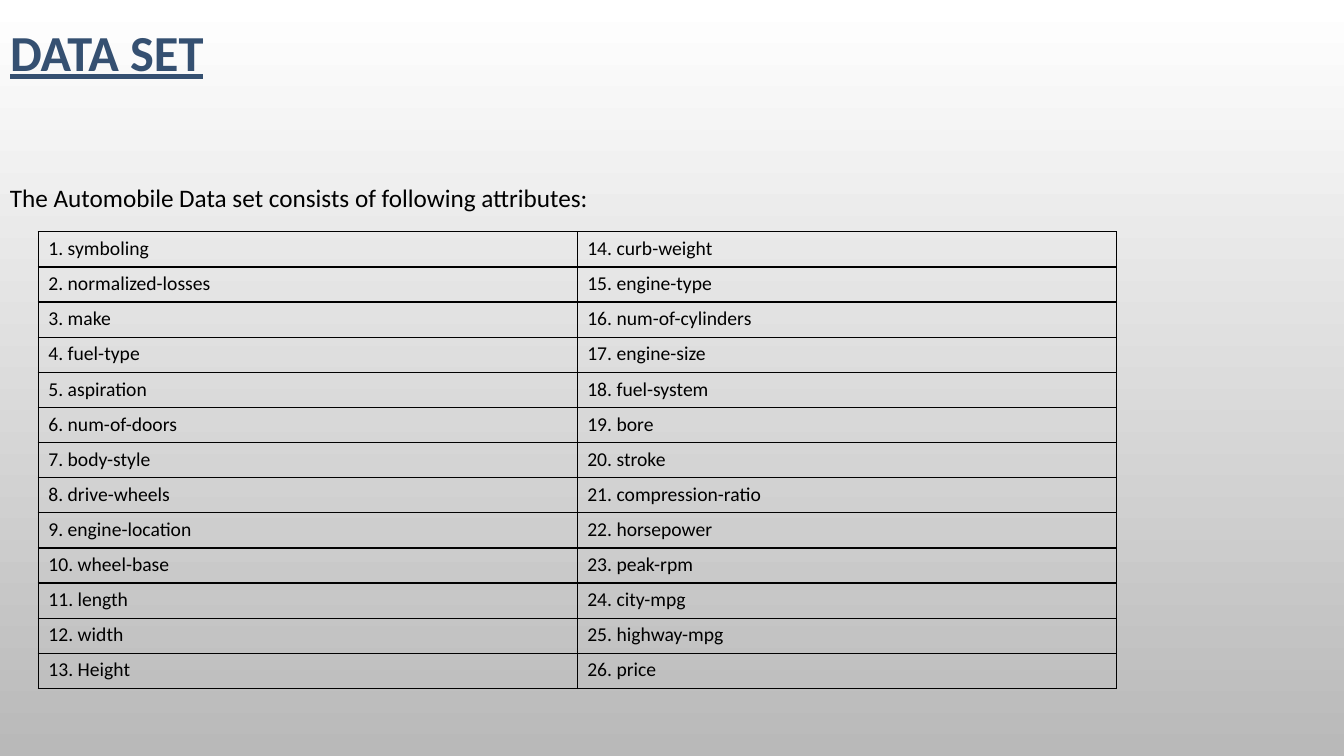
import pptx
import pptx.dml.color
import pptx.enum.text
import pptx.oxml
import pptx.oxml.ns
import pptx.util
from pptx.util import Inches

FONT = "Calibri"
COLORS = {
    "title": "355071",
    "text": "000000",
    "border": "000000",
    "background_top": "FFFFFF",
    "background_bottom": "B9B9B9",
}
ATTRIBUTES = [
    "symboling", "normalized-losses", "make", "fuel-type", "aspiration",
    "num-of-doors", "body-style", "drive-wheels", "engine-location",
    "wheel-base", "length", "width", "Height", "curb-weight", "engine-type",
    "num-of-cylinders", "engine-size", "fuel-system", "bore", "stroke",
    "compression-ratio", "horsepower", "peak-rpm", "city-mpg",
    "highway-mpg", "price",
]
COLUMN_COUNT = 2
ROW_COUNT = len(ATTRIBUTES) // COLUMN_COUNT


def rgb(name):
    return pptx.dml.color.RGBColor.from_string(COLORS[name])


def write_text(text_frame, text, size, color):
    paragraph = text_frame.paragraphs[0]
    paragraph.text = text
    paragraph.alignment = pptx.enum.text.PP_ALIGN.LEFT
    paragraph.font.name = FONT
    paragraph.font.size = pptx.util.Pt(size)
    paragraph.font.color.rgb = rgb(color)
    return paragraph


def set_background(slide):
    fill = slide.background.fill
    fill.gradient()
    fill.gradient_angle = 270
    for stop, name in zip(fill.gradient_stops, ("background_top", "background_bottom")):
        stop.color.rgb = rgb(name)


def set_title(slide, text):
    title = slide.shapes.title
    title.left, title.top = Inches(0), Inches(0)
    title.width, title.height = Inches(11.33), Inches(1.1)
    text_frame = title.text_frame
    text_frame.auto_size = pptx.enum.text.MSO_AUTO_SIZE.NONE
    text_frame.vertical_anchor = pptx.enum.text.MSO_ANCHOR.MIDDLE
    paragraph = write_text(text_frame, text, 36, "title")
    paragraph.line_spacing = 0.9
    paragraph.font.bold = True
    paragraph.font.underline = True


def add_intro(slide, text):
    box = slide.shapes.add_textbox(Inches(0), Inches(1.76), Inches(12.57), Inches(0.4))
    box.text_frame.word_wrap = True
    box.text_frame.auto_size = pptx.enum.text.MSO_AUTO_SIZE.SHAPE_TO_FIT_TEXT
    write_text(box.text_frame, text, 18, "text")


def add_borders(cell):
    properties = cell._tc.get_or_add_tcPr()
    for side in ("lnL", "lnR", "lnT", "lnB"):
        properties.append(pptx.oxml.parse_xml(
            f'<a:{side} {pptx.oxml.ns.nsdecls("a")} w="{pptx.util.Pt(1)}">'
            f'<a:solidFill><a:srgbClr val="{COLORS["border"]}"/></a:solidFill>'
            f'</a:{side}>'))


def add_attribute_table(slide):
    table = slide.shapes.add_table(
        ROW_COUNT, COLUMN_COUNT,
        Inches(0.38), Inches(2.3), Inches(10.69), Inches(4.53)).table
    table.first_row = False
    table.horz_banding = False

    # Number the attributes down each column in turn
    for index, attribute in enumerate(ATTRIBUTES):
        column, row = divmod(index, ROW_COUNT)
        cell = table.cell(row, column)
        write_text(cell.text_frame, f"{index + 1}. {attribute}", 14, "text")
        add_borders(cell)
        cell.fill.background()


def main():
    presentation = pptx.Presentation()
    presentation.slide_width = Inches(13.33)
    presentation.slide_height = Inches(7.5)
    title_only = presentation.slide_layouts.get_by_name("Title Only")
    slide = presentation.slides.add_slide(title_only)

    set_background(slide)
    set_title(slide, "DATA SET")
    add_intro(slide, "The Automobile Data set consists of following attributes:")
    add_attribute_table(slide)

    presentation.save("out.pptx")


if __name__ == "__main__":
    main()
